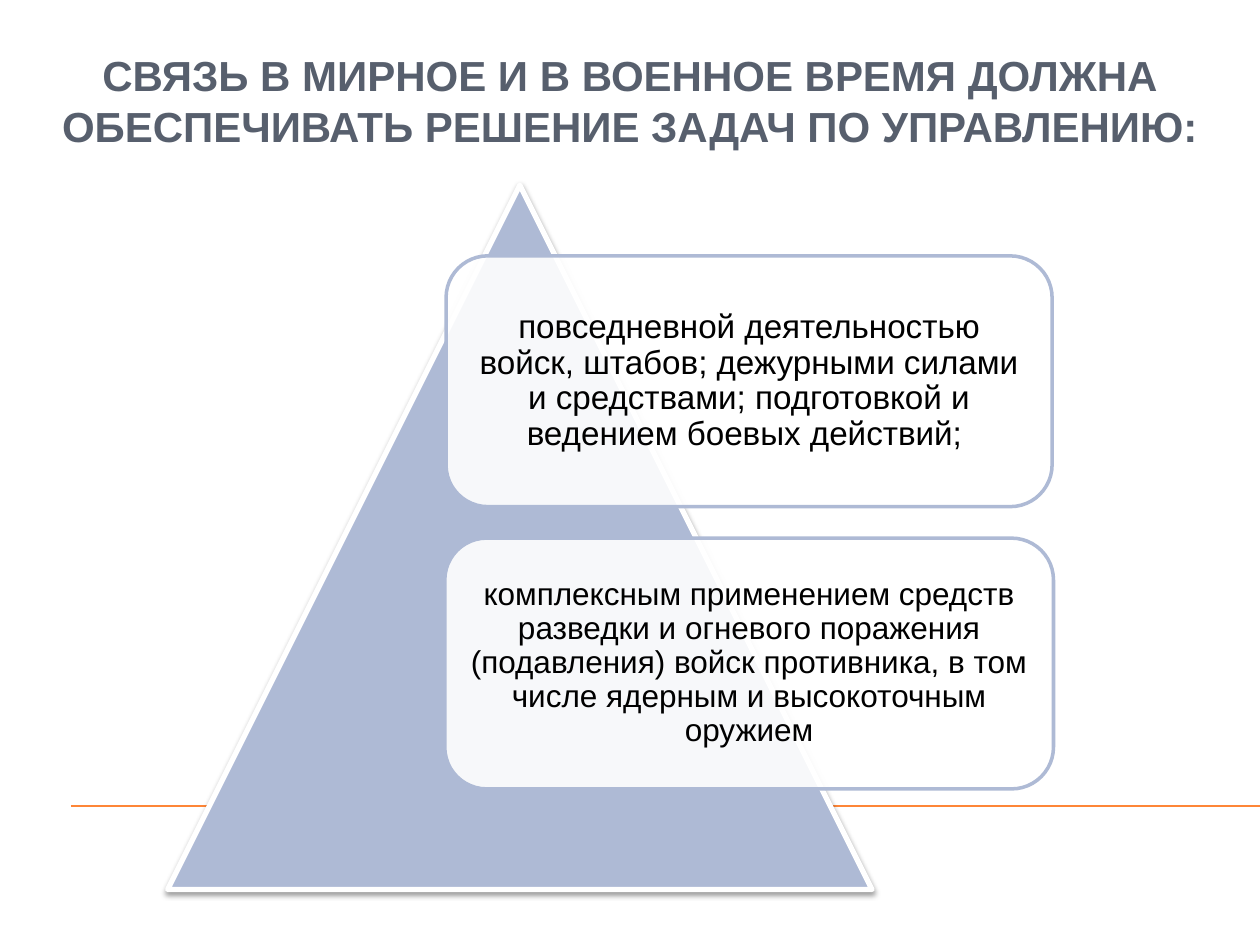
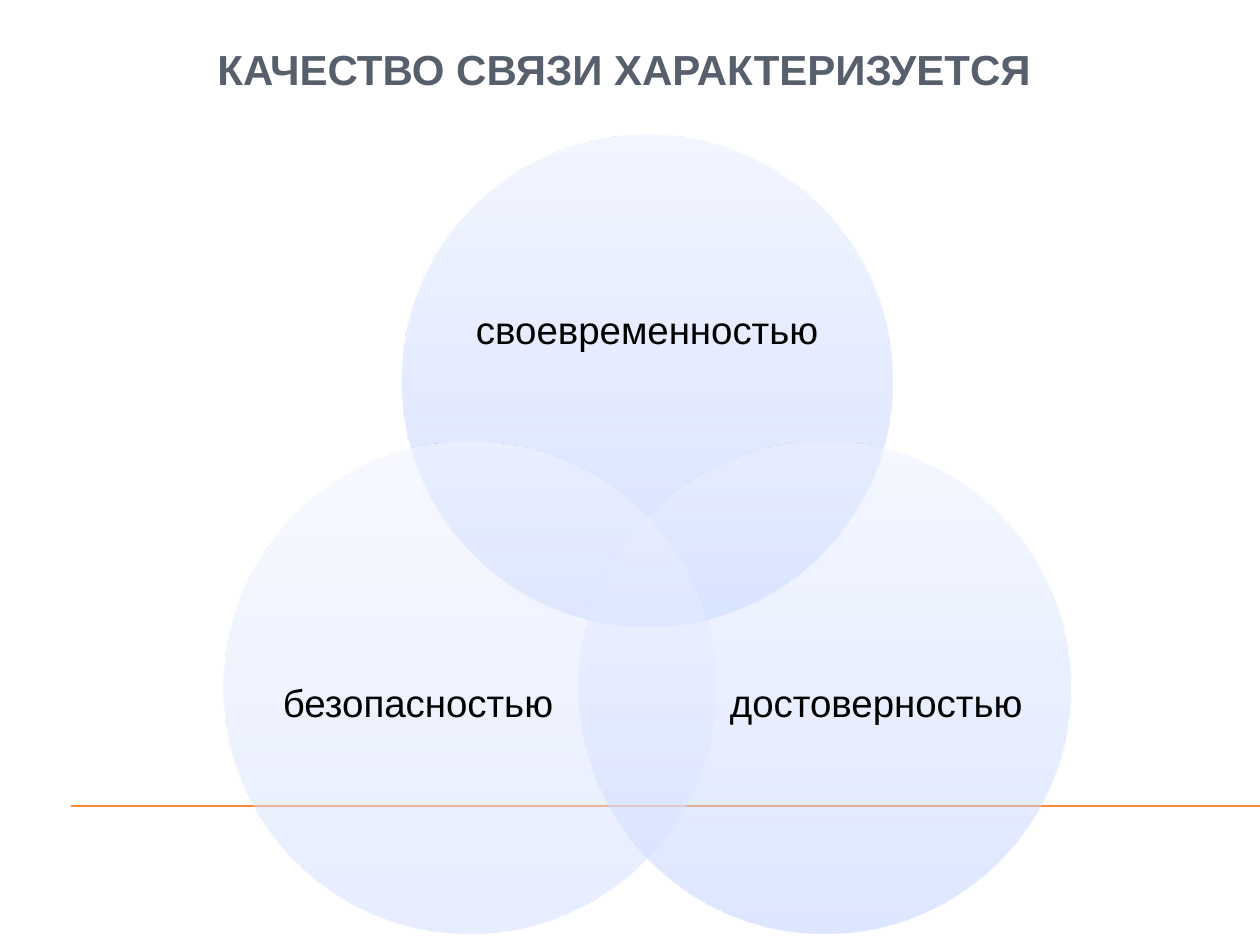
from math import cos, radians, sin

from lxml.etree import SubElement
from pptx import Presentation
from pptx.dml.color import RGBColor
from pptx.enum.shapes import MSO_CONNECTOR, MSO_SHAPE as Preset
from pptx.enum.text import MSO_ANCHOR as Anchor, MSO_AUTO_SIZE as AutoSize, PP_ALIGN as Align
from pptx.oxml.ns import qn
from pptx.util import Pt

FONT = "Arial"
TITLE_COLOUR, TEXT_COLOUR = "575F6D", "000000"
RULE_COLOUR, ACCENT, WHITE = "FE8637", "AEBAD5", "FFFFFF"
SLIDE_WIDTH, SLIDE_HEIGHT = 720, 540

TASKS_TITLE = ("СВЯЗЬ В МИРНОЕ И В ВОЕННОЕ ВРЕМЯ ДОЛЖНА "
               "ОБЕСПЕЧИВАТЬ РЕШЕНИЕ ЗАДАЧ ПО УПРАВЛЕНИЮ:")
# text, font size, inset, left, width
TASKS = [
    ("повседневной деятельностью войск, штабов; дежурными силами и средствами; "
     "подготовкой и ведением боевых действий; ", 19, 5.7, 254.9, 346.3),
    ("комплексным применением средств разведки и огневого поражения (подавления) "
     "войск противника, в том числе ядерным и высокоточным оружием", 18, 5.4, 254.2, 347.8),
]
TASK_TOP, TASK_HEIGHT, TASK_STEP = 146.2, 143.3, 161.3

QUALITY_TITLE = "КАЧЕСТВО СВЯЗИ ХАРАКТЕРИЗУЕТСЯ "
# label, angle around the centre, label shift from its circle, gradient colours
QUALITIES = [
    ("своевременностью", -90, (0, -27.4), ("ADC4FF", "C4D4FF", "E8EEFF")),
    ("достоверностью", 30, (29.5, 9.8), ("BDCFFF", "CFDDFF", "EDF2FF")),
    ("безопасностью", 150, (-29.5, 9.8), ("D0DDFF", "DDE6FF", "F2F5FF")),
]
GRADIENT_STOPS = (0, 35, 100)
VENN_X, VENN_Y, VENN_RADIUS, CIRCLE = 369.8, 334.5, 117.1, 280.8
LABEL_WIDTH, LABEL_HEIGHT = 206, 127


def colour(hex_code):
    return RGBColor.from_string(hex_code)


def add_xml(parent, tag, **attributes):
    return SubElement(parent, qn(tag), {k: str(v) for k, v in attributes.items()})


def add_colour_xml(parent, hex_code, alpha):
    add_xml(add_xml(parent, "a:srgbClr", val=hex_code), "a:alpha", val=alpha * 1000)


def write(frame, text, size, hex_code=TEXT_COLOUR, bold=False, spacing=0.9, inset=None):
    frame.word_wrap = True
    frame.auto_size = AutoSize.NONE
    frame.vertical_anchor = Anchor.MIDDLE
    if inset is not None:
        frame.margin_left = frame.margin_right = Pt(inset)
        frame.margin_top = frame.margin_bottom = Pt(inset)
    paragraph = frame.paragraphs[0]
    paragraph.alignment = Align.CENTER
    paragraph.line_spacing = spacing
    run = paragraph.add_run()
    run.text = text
    run.font.name, run.font.size, run.font.bold = FONT, Pt(size), bold
    run.font.color.rgb = colour(hex_code)


def add_preset(slide, preset, left, top, width, height, fill=None, line=None, weight=0):
    shape = slide.shapes.add_shape(preset, Pt(left), Pt(top), Pt(width), Pt(height))
    shape.shadow.inherit = False
    if fill:
        shape.fill.solid()
        shape.fill.fore_color.rgb = colour(fill)
    if line:
        shape.line.color.rgb = colour(line)
        shape.line.width = Pt(weight)
    else:
        shape.line.fill.background()
    return shape


def start_slide(deck, title, top, height):
    """Add a slide with the shared rule and title style."""
    slide = deck.slides.add_slide(deck.slide_layouts[5])
    rule = slide.shapes.add_connector(
        MSO_CONNECTOR.STRAIGHT, Pt(40.5), Pt(460.6), Pt(SLIDE_WIDTH), Pt(460.6))
    rule.line.color.rgb = colour(RULE_COLOUR)
    rule.line.width = Pt(0.75)
    add_xml(rule._element.spPr, "a:effectLst")
    heading = slide.shapes.title
    heading.left, heading.top, heading.width, heading.height = map(Pt, (27, top, 666, height))
    write(heading.text_frame, title, 24, TITLE_COLOUR, bold=True, spacing=1.0)
    return slide


def build_tasks(deck):
    slide = start_slide(deck, TASKS_TITLE, 31.7, 51)
    pyramid = add_preset(slide, Preset.ISOSCELES_TRIANGLE, 95.8, 105.8, 402.5, 402.5,
                         ACCENT, WHITE, 3)
    effects = pyramid._element.spPr.find(qn("a:effectLst"))
    shadow = add_xml(effects, "a:outerShdw", blurRad=Pt(3.1), dist=Pt(1.6),
                     dir=90 * 60000, rotWithShape=0)
    add_colour_xml(shadow, "000000", 38)
    for row, (text, size, inset, left, width) in enumerate(TASKS):
        card = add_preset(slide, Preset.ROUNDED_RECTANGLE, left, TASK_TOP + row * TASK_STEP,
                          width, TASK_HEIGHT, WHITE, ACCENT, 2)
        white = card._element.spPr.find(qn("a:solidFill")).find(qn("a:srgbClr"))
        add_xml(white, "a:alpha", val=90000)
        write(card.text_frame, text, size, inset=inset)


def fill_gradient(shape, colours):
    shape.fill.gradient()
    gradient = shape._element.spPr.find(qn("a:gradFill"))
    for child in list(gradient):
        gradient.remove(child)
    stops = add_xml(gradient, "a:gsLst")
    for position, hex_code in zip(GRADIENT_STOPS, colours):
        add_colour_xml(add_xml(stops, "a:gs", pos=position * 1000), hex_code, 50)
    add_xml(gradient, "a:lin", ang=270 * 60000, scaled=0)


def build_qualities(deck):
    slide = start_slide(deck, QUALITY_TITLE, 18.7, 41)
    for label, angle, (shift_x, shift_y), colours in QUALITIES:
        x = VENN_X + VENN_RADIUS * cos(radians(angle))
        y = VENN_Y + VENN_RADIUS * sin(radians(angle))
        circle = add_preset(slide, Preset.OVAL, x - CIRCLE / 2, y - CIRCLE / 2, CIRCLE, CIRCLE)
        fill_gradient(circle, colours)
        caption = slide.shapes.add_textbox(
            Pt(x + shift_x - LABEL_WIDTH / 2), Pt(y + shift_y - LABEL_HEIGHT / 2),
            Pt(LABEL_WIDTH), Pt(LABEL_HEIGHT))
        write(caption.text_frame, label, 22, inset=0)


def main():
    deck = Presentation()
    deck.slide_width, deck.slide_height = Pt(SLIDE_WIDTH), Pt(SLIDE_HEIGHT)
    build_tasks(deck)
    build_qualities(deck)
    deck.save("out.pptx")


if __name__ == "__main__":
    main()
